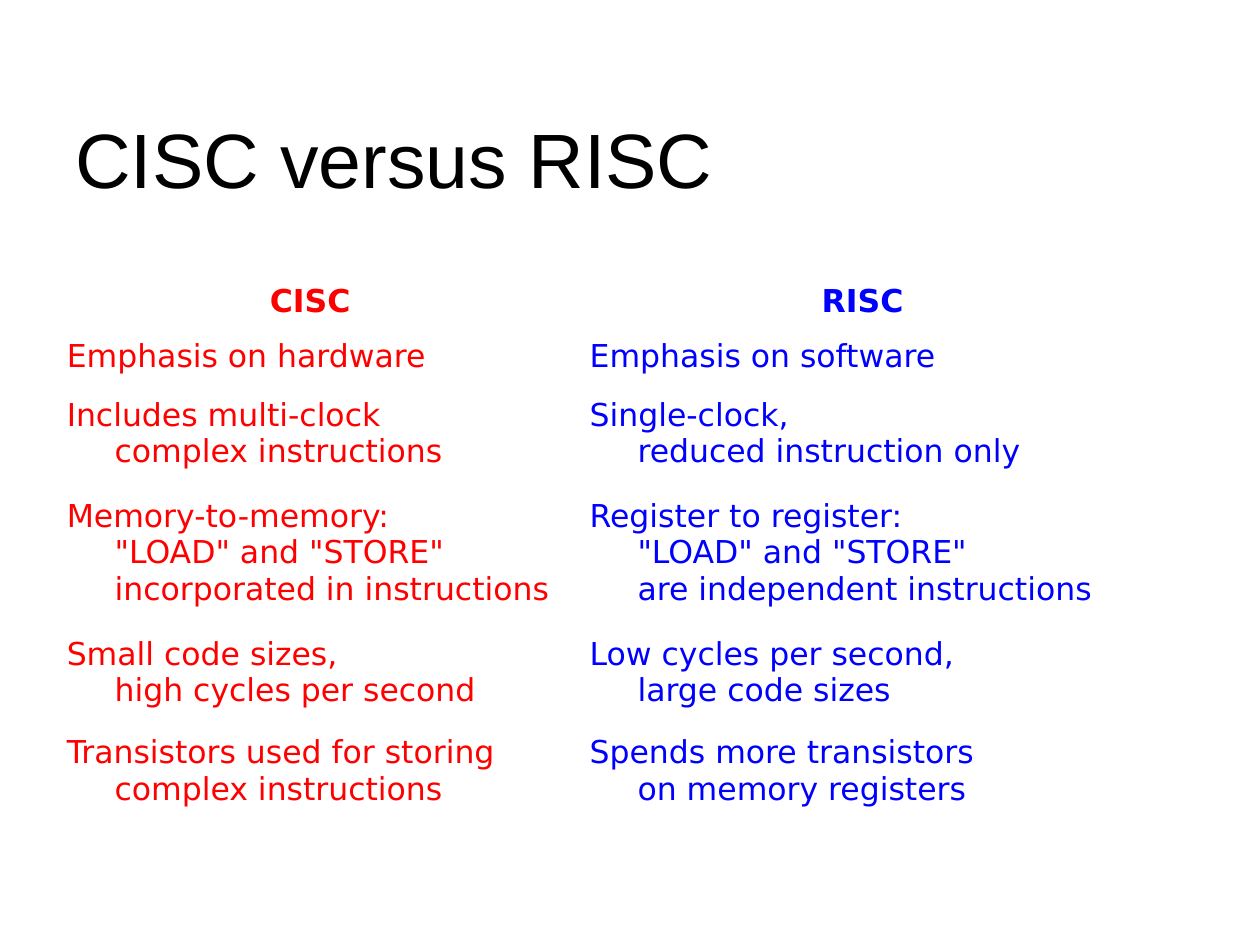
from dataclasses import dataclass

import pptx
import pptx.dml.color
import pptx.enum.text
import pptx.util
from pptx.util import Inches

ALIGN = pptx.enum.text.PP_ALIGN
MIDDLE = pptx.enum.text.MSO_ANCHOR.MIDDLE


@dataclass
class Architecture:
    name: str
    color: str
    width: float
    traits: list[str]


ARCHITECTURES = [
    Architecture("CISC ", "FF0000", 4.15, [
        "Emphasis on hardware",
        "Includes multi-clock\ncomplex instructions",
        'Memory-to-memory:\n"LOAD" and "STORE"\nincorporated in instructions',
        "Small code sizes,\nhigh cycles per second",
        "Transistors used for storing\ncomplex instructions",
    ]),
    Architecture("RISC ", "0000FF", 4.62, [
        "Emphasis on software",
        "Single-clock,\nreduced instruction only",
        'Register to register:\n"LOAD" and "STORE"\nare independent instructions',
        "Low cycles per second,\nlarge code sizes",
        "Spends more transistors\non memory registers",
    ]),
]
ROW_HEIGHTS = [0.44, 0.44, 0.78, 1.12, 0.78, 0.78]
HANGING_INDENT = Inches(0.38)


def set_font(paragraph, name: str, size: float, color: str, bold: bool = False) -> None:
    font = paragraph.font
    font.name, font.size, font.bold = name, pptx.util.Pt(size), bold
    font.color.rgb = pptx.dml.color.RGBColor.from_string(color)


def fill_cell(cell, text: str, color: str, heading: bool) -> None:
    cell.fill.background()
    cell.vertical_anchor = MIDDLE
    paragraph = cell.text_frame.paragraphs[0]
    paragraph.text = text  # each newline becomes a line break
    paragraph.alignment = ALIGN.CENTER if heading else ALIGN.LEFT
    properties = paragraph._p.get_or_add_pPr()
    properties.set("marL", str(HANGING_INDENT))
    properties.set("indent", str(-HANGING_INDENT))
    set_font(paragraph, "DejaVu Sans", 18, color, bold=heading)


def add_title(slide, text: str) -> None:
    frame = slide.shapes.add_textbox(Inches(0.5), Inches(0.5), Inches(9), Inches(1.5)).text_frame
    frame.word_wrap = True
    frame.vertical_anchor = MIDDLE
    frame.paragraphs[0].text = text
    set_font(frame.paragraphs[0], "Arial", 44, "000000")


def add_comparison(slide, architectures: list[Architecture]) -> None:
    total_width = sum(architecture.width for architecture in architectures)
    comparison = slide.shapes.add_table(
        len(ROW_HEIGHTS), len(architectures),
        Inches(0.43), Inches(2.17), Inches(total_width), Inches(sum(ROW_HEIGHTS)),
    ).table
    comparison.first_row = comparison.horz_banding = False
    for row, height in zip(comparison.rows, ROW_HEIGHTS):
        row.height = Inches(height)
    for column, architecture in enumerate(architectures):
        comparison.columns[column].width = Inches(architecture.width)
        for row, text in enumerate([architecture.name, *architecture.traits]):
            fill_cell(comparison.cell(row, column), text, architecture.color, heading=row == 0)


def main() -> None:
    presentation = pptx.Presentation()
    presentation.slide_width, presentation.slide_height = Inches(10), Inches(7.5)
    slide = presentation.slides.add_slide(presentation.slide_layouts[6])

    # Title
    add_title(slide, "CISC versus RISC")

    # Side-by-side comparison
    add_comparison(slide, ARCHITECTURES)

    presentation.save("out.pptx")


if __name__ == "__main__":
    main()
